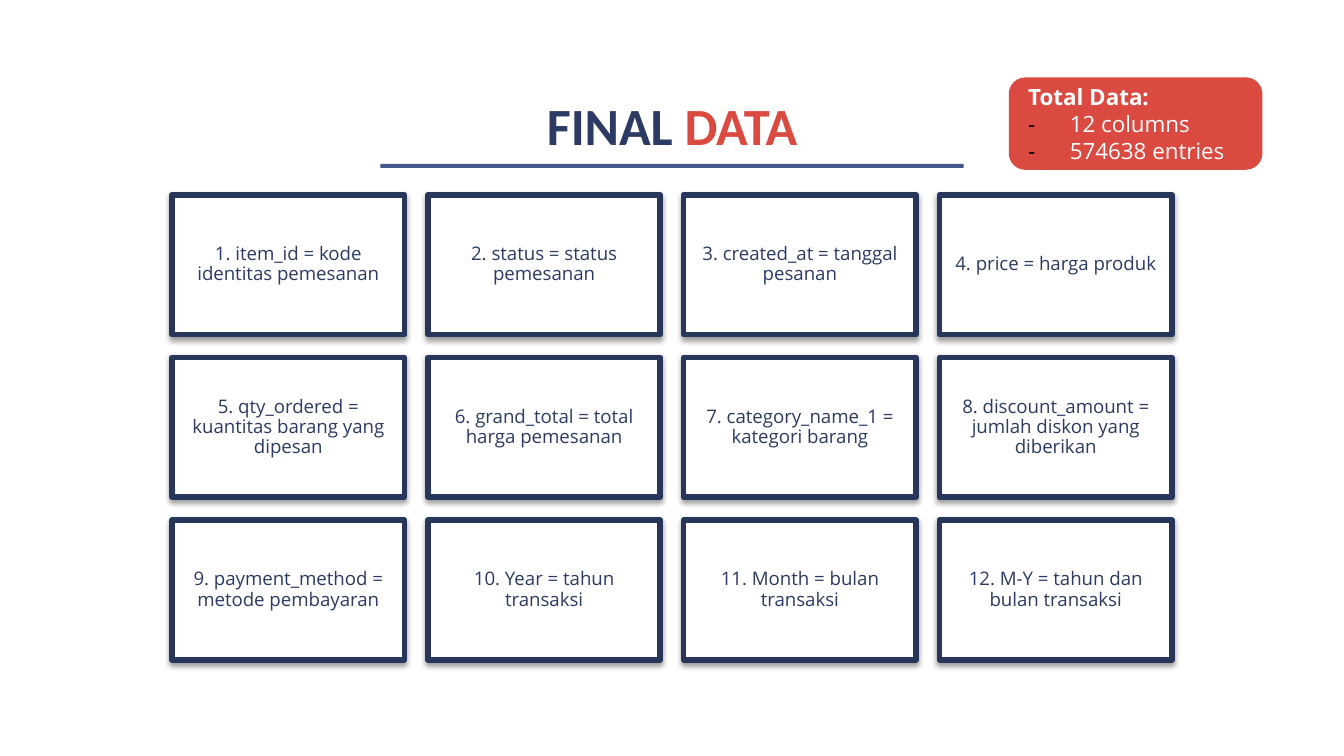
from lxml import etree
from pptx import Presentation
from pptx.dml.color import RGBColor
from pptx.enum.shapes import MSO_SHAPE
from pptx.enum.text import MSO_ANCHOR, PP_ALIGN
from pptx.oxml import parse_xml
from pptx.oxml.ns import nsdecls, qn
from pptx.util import Inches, Pt

RECTANGLE = MSO_SHAPE.RECTANGLE
ROUNDED = MSO_SHAPE.ROUNDED_RECTANGLE
MIDDLE = MSO_ANCHOR.MIDDLE
CENTER = PP_ALIGN.CENTER
LEFT = PP_ALIGN.LEFT

WHITE = RGBColor(0xFF, 0xFF, 0xFF)
NAVY = RGBColor(0x2D, 0x3B, 0x64)
BORDER = RGBColor(0x29, 0x36, 0x5B)
BLUE = RGBColor(0x44, 0x57, 0x8F)
RED = RGBColor(0xDA, 0x4A, 0x41)

COLUMNS = [
    "1. item_id = kode identitas pemesanan",
    "2. status = status pemesanan",
    "3. created_at = tanggal pesanan",
    "4. price = harga produk",
    "5. qty_ordered = kuantitas barang yang dipesan",
    "6. grand_total = total harga pemesanan",
    "7. category_name_1 = kategori barang",
    "8. discount_amount = jumlah diskon yang diberikan",
    "9. payment_method = metode pembayaran",
    "10. Year = tahun transaksi",
    "11. Month = bulan transaksi",
    "12. M-Y = tahun dan bulan transaksi",
]
GRID_COLUMNS = 4
GRID_LEFT, GRID_RIGHT = 1.28, 8.72
CARD_WIDTH, CARD_HEIGHT = 1.73, 1.04
COLUMN_STEP = (GRID_RIGHT - GRID_LEFT - CARD_WIDTH) / (GRID_COLUMNS - 1)
SHADOW = (
    f'<a:effectLst {nsdecls("a")}>'
    '<a:outerShdw blurRad="39400" dist="20300" dir="5400000" rotWithShape="0">'
    '<a:srgbClr val="000000"><a:alpha val="38000"/></a:srgbClr>'
    '</a:outerShdw></a:effectLst>'
)


class SlideBuilder:
    """Draws styled elements on the current slide."""

    heading_font = "Calibri"
    body_font = "Open Sans"

    def __init__(self, page):
        self.page = page

    def style(self, paragraph, size, color, bold=False, align=LEFT):
        paragraph.alignment = align
        font = paragraph.font
        font.name, font.size, font.bold = self.body_font, Pt(size), bold
        font.color.rgb = color

    def block(self, kind, left, top, width, height, fill, line=None, weight=0):
        box = self.page.shapes.add_shape(
            kind, Inches(left), Inches(top), Inches(width), Inches(height))
        box.shadow.inherit = False
        box.fill.solid()
        box.fill.fore_color.rgb = fill
        if line is None:
            box.line.fill.background()
        else:
            box.line.color.rgb = line
            box.line.width = Pt(weight)
        return box

    def title(self, spans, left, top, width, height):
        box = self.page.shapes.add_textbox(
            Inches(left), Inches(top), Inches(width), Inches(height))
        frame = box.text_frame
        frame.word_wrap = True
        frame.margin_left = frame.margin_right = Inches(0.1)
        frame.margin_top = frame.margin_bottom = Inches(0.1)
        paragraph = frame.paragraphs[0]
        self.style(paragraph, 28, NAVY, bold=True, align=CENTER)
        paragraph.font.name = self.heading_font
        for text, color in spans:
            span = paragraph.add_run()
            span.text = text
            span.font.color.rgb = color

    def card(self, text, left, top, width, height):
        box = self.block(RECTANGLE, left, top, width, height, WHITE, BORDER, 3)
        properties = box.element.spPr
        properties.replace(properties.find(qn("a:effectLst")), parse_xml(SHADOW))
        frame = box.text_frame
        frame.vertical_anchor = MIDDLE
        frame.margin_left = frame.margin_right = Inches(0.04)
        frame.margin_top = frame.margin_bottom = Inches(0.04)
        paragraph = frame.paragraphs[0]
        paragraph.text = text
        paragraph.line_spacing = 0.9
        paragraph.space_after = Pt(3.5)
        self.style(paragraph, 10, NAVY, align=CENTER)

    def summary(self, heading, items, left, top, width, height):
        box = self.block(ROUNDED, left, top, width, height, RED, RED, 2)
        frame = box.text_frame
        frame.vertical_anchor = MIDDLE
        frame.text = heading
        self.style(frame.paragraphs[0], 12, WHITE, bold=True)
        for item in items:
            paragraph = frame.add_paragraph()
            paragraph.text = item
            self.style(paragraph, 12, WHITE)
            self.bullet(paragraph)

    def bullet(self, paragraph):
        properties = paragraph._p.get_or_add_pPr()
        indent = Inches(0.31)
        properties.set("marL", str(indent))
        properties.set("indent", str(-indent))
        color = parse_xml(f'<a:buClr {nsdecls("a")}><a:srgbClr val="000000"/></a:buClr>')
        face = etree.Element(qn("a:buFont"), typeface=self.body_font)
        mark = etree.Element(qn("a:buChar"), char="-")
        for position, element in enumerate((color, face, mark)):
            properties.insert(position, element)


def main():
    deck = Presentation()
    deck.slide_width = Inches(10)
    deck.slide_height = deck.slide_width * 9 // 16
    builder = SlideBuilder(deck.slides.add_slide(deck.slide_layouts[6]))
    builder.title([("FINAL ", NAVY), ("DATA", RED)], 0.79, 0.59, 8.42, 0.58)
    builder.block(RECTANGLE, 2.83, 1.22, 4.34, 0.03, BLUE)
    for index, text in enumerate(COLUMNS):
        row, column = divmod(index, GRID_COLUMNS)
        builder.card(text, GRID_LEFT + COLUMN_STEP * column, 1.45 + 1.21 * row,
                     CARD_WIDTH, CARD_HEIGHT)
    builder.summary("Total Data:", ["12 columns", "574638 entries"],
                    7.52, 0.59, 1.86, 0.66)
    deck.save("out.pptx")


if __name__ == "__main__":
    main()
